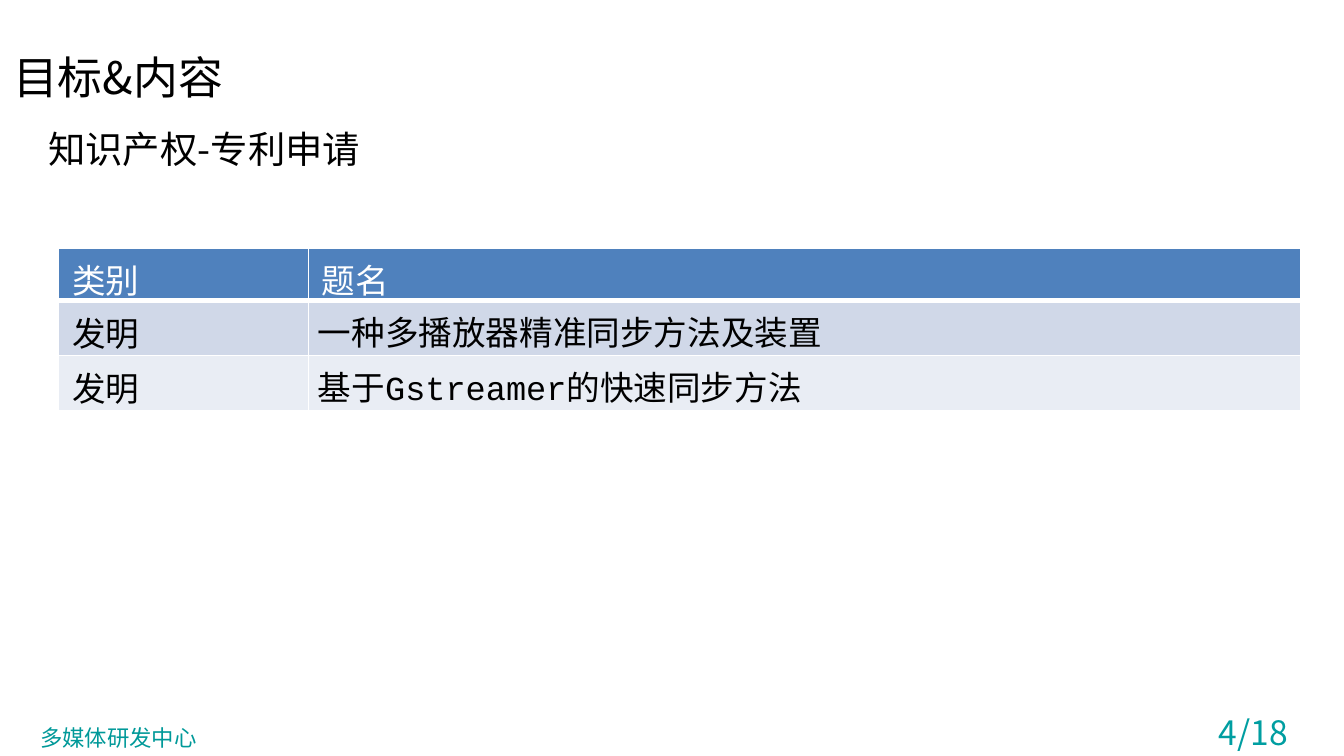
import dataclasses
import typing

import lxml.etree
import pptx
import pptx.dml.color
import pptx.enum.text
import pptx.oxml.ns
import pptx.util

WIDTH = 10
HEIGHT = WIDTH * 9 / 16
SANS, MONO = "Noto Sans CJK SC", "Courier New"
COLORS = {
    "black": "000000",
    "white": "FFFFFF",
    "footer": "009999",
    "number": "009EA1",
    "header": "4F81BD",
    "band": "D0D8E8",
    "light": "E9EDF4",
}
ALIGN = pptx.enum.text.PP_ALIGN
ANCHOR = pptx.enum.text.MSO_ANCHOR


@dataclasses.dataclass
class Label:
    """A line of text; left, top, width and height are shares of the slide."""
    text: str
    left: float
    top: float
    width: float
    height: float
    size: int
    color: str = "black"
    align: typing.Any = ALIGN.LEFT
    anchor: typing.Any = ANCHOR.MIDDLE
    wrap: bool = True


@dataclasses.dataclass
class Row:
    """A table row; each cell is a list of (text, font) spans."""
    cells: list
    fill: str
    color: str = "black"
    is_header: bool = False


LABELS = [
    Label("目标&内容", 0, 0.051, 0.95, 0.101, 24),
    Label("知识产权-专利申请", 0.026, 0.157, 0.614, 0.078, 20),
    Label("多媒体研发中心", 0.02, 0.949, 0.138, 0.053, 12, "footer",
          anchor=ANCHOR.TOP, wrap=False),
    Label("4/18", 0.865, 0.933, 0.103, 0.071, 18, "number", ALIGN.RIGHT),
]

ROWS = [
    Row([[("类别", SANS)], [("题名", SANS)]], "header", "white", True),
    Row([[("发明", SANS)], [("一种多播放器精准同步方法及装置", SANS)]], "band"),
    Row([[("发明", SANS)],
         [("基于", SANS), ("Gstreamer", MONO), ("的快速同步方法", SANS)]], "light"),
]
COLUMN_SHARES = [0.186, 0.738]
ROW_HEIGHTS = [0.39, 0.41, 0.41]


def rgb(name: str) -> pptx.dml.color.RGBColor:
    return pptx.dml.color.RGBColor.from_string(COLORS[name])


def set_all(target: typing.Any, values: dict) -> None:
    for name, value in values.items():
        setattr(target, name, value)


def add_span(para: typing.Any, text: str, font: str, size: int, color: str) -> None:
    span = para.add_run()
    span.text = text
    set_all(span.font, {"name": font, "size": pptx.util.Pt(size), "bold": False})
    span.font.color.rgb = rgb(color)
    # East Asian glyphs take their typeface from a separate element
    east = lxml.etree.SubElement(span.font._element, pptx.oxml.ns.qn("a:ea"))
    east.set("typeface", SANS)


def add_label(page: typing.Any, label: Label) -> None:
    box = page.shapes.add_textbox(
        pptx.util.Inches(label.left * WIDTH), pptx.util.Inches(label.top * HEIGHT),
        pptx.util.Inches(label.width * WIDTH), pptx.util.Inches(label.height * HEIGHT))
    set_all(box.text_frame, {"word_wrap": label.wrap, "vertical_anchor": label.anchor})
    para = box.text_frame.paragraphs[0]
    para.alignment = label.align
    add_span(para, label.text, SANS, label.size, label.color)


def add_borders(cell: typing.Any, widths: dict) -> None:
    """Draw white cell edges, placed ahead of the fill as the schema asks."""
    properties = cell._tc.get_or_add_tcPr()
    for index, (side, points) in enumerate(widths.items()):
        line = lxml.etree.Element(pptx.oxml.ns.qn(f"a:ln{side}"), w=str(pptx.util.Pt(points)))
        fill = lxml.etree.SubElement(line, pptx.oxml.ns.qn("a:solidFill"))
        lxml.etree.SubElement(fill, pptx.oxml.ns.qn("a:srgbClr"), val=COLORS["white"])
        properties.insert(index, line)


def add_patent_table(page: typing.Any) -> None:
    table = page.shapes.add_table(
        len(ROWS), len(COLUMN_SHARES),
        pptx.util.Inches(0.0436 * WIDTH), pptx.util.Inches(0.328 * HEIGHT),
        pptx.util.Inches(sum(COLUMN_SHARES) * WIDTH),
        pptx.util.Inches(sum(ROW_HEIGHTS))).table
    for column, share in zip(table.columns, COLUMN_SHARES):
        column.width = pptx.util.Inches(share * WIDTH)
    for line, height in zip(table.rows, ROW_HEIGHTS):
        line.height = pptx.util.Inches(height)

    roomy = {"margin_bottom": 0}
    tight = {"margin_left": pptx.util.Inches(0.07), "margin_right": pptx.util.Inches(0.07),
             "margin_top": 0, "margin_bottom": 0, "vertical_anchor": ANCHOR.BOTTOM}
    for row_index, row in enumerate(ROWS):
        below_header = row_index == 1
        for column_index, spans in enumerate(row.cells):
            cell = table.cell(row_index, column_index)
            is_title = column_index == 1 and not row.is_header
            set_all(cell, tight if is_title else roomy)
            cell.fill.solid()
            cell.fill.fore_color.rgb = rgb(row.fill)
            add_borders(cell, {"L": 1, "R": 1, "T": 3 if below_header else 1,
                               "B": 3 if row.is_header else 1})
            for text, font in spans:
                add_span(cell.text_frame.paragraphs[0], text, font, 18, row.color)


def main() -> None:
    deck = pptx.Presentation()
    set_all(deck, {"slide_width": pptx.util.Inches(WIDTH),
                   "slide_height": pptx.util.Inches(HEIGHT)})
    page = deck.slides.add_slide(deck.slide_layouts[6])

    # Headings, footer and page number
    for label in LABELS:
        add_label(page, label)

    # Patent applications
    add_patent_table(page)
    deck.save("out.pptx")


if __name__ == "__main__":
    main()
